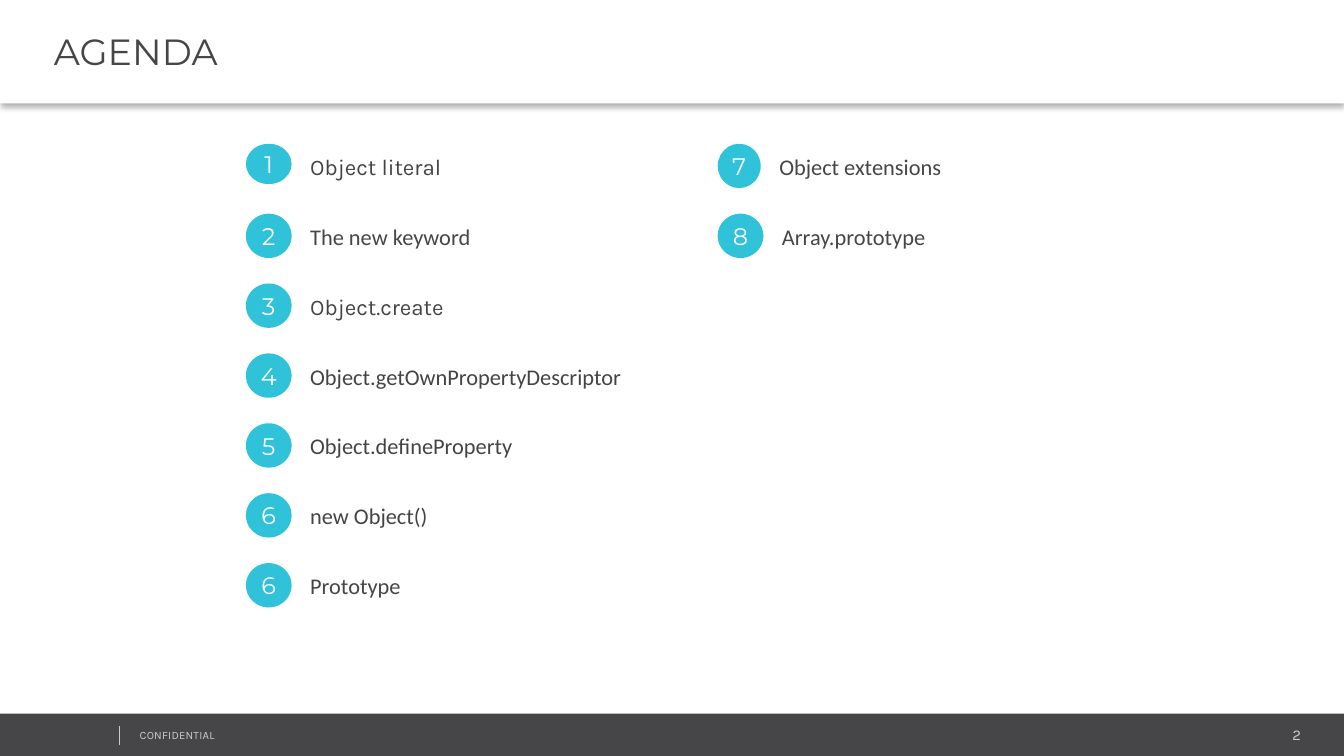
from dataclasses import dataclass

from lxml.etree import SubElement
from pptx import Presentation
from pptx.dml.color import RGBColor
from pptx.enum.shapes import MSO_CONNECTOR, MSO_SHAPE
from pptx.enum.text import MSO_ANCHOR, MSO_AUTO_SIZE, PP_ALIGN
from pptx.oxml import parse_xml
from pptx.oxml.ns import nsdecls, qn
from pptx.util import Inches, Pt

SLIDE_WIDTH = 10
SLIDE_HEIGHT = SLIDE_WIDTH * 9 / 16
HEADER_HEIGHT, FOOTER_TOP = 0.77, 5.31
DARK, TEXT_GREY, PALE, CYAN, WHITE = "464547", "444444", "CCCCCC", "2FC2D9", "FFFFFF"

COLUMN_LEFTS = (1.83, 5.34)
FIRST_ROW_TOP, ROW_PITCH = 1.07, 0.52
LABEL_GAP, LABEL_WIDTH, LABEL_HEIGHT = 0.04, 4, 0.3
FOOTER_INSETS = (0.07, 0.04, 0.07, 0.04)


@dataclass(frozen=True)
class AgendaItem:
    number: str
    label: str
    column: int
    row: int
    font: str = "Calibri"
    color: str = DARK
    badge_width: float = 0.34
    badge_height: float = 0.33


AGENDA = (
    AgendaItem("1", "Object literal", 0, 0, "Karla", TEXT_GREY, badge_height=0.3),
    AgendaItem("2", "The new keyword", 0, 1),
    AgendaItem("3", "Object.create", 0, 2, "Karla", TEXT_GREY),
    AgendaItem("4", "Object.getOwnPropertyDescriptor", 0, 3, color=TEXT_GREY),
    AgendaItem("5", "Object.defineProperty", 0, 4, color=TEXT_GREY),
    AgendaItem("6", "new Object()", 0, 5, color=TEXT_GREY),
    AgendaItem("6", "Prototype", 0, 6),
    AgendaItem("7", "Object extensions", 1, 0, badge_width=0.32),
    AgendaItem("8", "Array.prototype", 1, 1),
)


def rgb(color: str) -> RGBColor:
    return RGBColor.from_string(color)


def inches(*lengths: float) -> list[Inches]:
    return [Inches(length) for length in lengths]


def write(shape, text: str, *, size: float, font: str, color: str,
          align=PP_ALIGN.LEFT, anchor=MSO_ANCHOR.TOP, wrap: bool = True,
          insets=(0.1, 0.05, 0.1, 0.05), spacing: float = 0) -> None:
    frame = shape.text_frame
    frame.auto_size = MSO_AUTO_SIZE.NONE
    frame.word_wrap = wrap
    frame.vertical_anchor = anchor
    (frame.margin_left, frame.margin_top,
     frame.margin_right, frame.margin_bottom) = inches(*insets)
    paragraph = frame.paragraphs[0]
    paragraph.alignment = align
    paragraph.space_before = Pt(0)
    run = paragraph.add_run()
    run.text = text
    run.font.size = Pt(size)
    run.font.name = font
    run.font.color.rgb = rgb(color)
    if spacing:
        run.font._element.set("spc", str(round(spacing * 100)))


def add_filled(shapes, kind, box: tuple, color: str) -> None:
    shape = shapes.add_shape(kind, *inches(*box))
    shape.shadow.inherit = False
    shape.fill.solid()
    shape.fill.fore_color.rgb = rgb(color)
    shape.line.fill.background()


def add_text(shapes, box: tuple, text: str, **text_format) -> None:
    write(shapes.add_textbox(*inches(*box)), text, **text_format)


def add_header(slide, text: str) -> None:
    title = slide.shapes.title
    title.left, title.top, title.width, title.height = inches(
        0, 0, SLIDE_WIDTH, HEADER_HEIGHT)
    title.fill.solid()
    title.fill.fore_color.rgb = rgb(WHITE)
    title._element.spPr.append(parse_xml(
        f'<a:effectLst {nsdecls("a")}>'
        f'<a:outerShdw blurRad="{Pt(3.1)}" dist="{Pt(2)}" dir="5400000" rotWithShape="0">'
        '<a:srgbClr val="000000"><a:alpha val="30000"/></a:srgbClr>'
        '</a:outerShdw></a:effectLst>'))
    write(title, text, size=19.5, font="Montserrat", color=DARK,
          anchor=MSO_ANCHOR.MIDDLE, insets=(0.4, 0.05, 0.1, 0.06))


def add_footer(slide, notice: str, page: str) -> None:
    shapes = slide.shapes
    add_filled(shapes, MSO_SHAPE.RECTANGLE,
               (0, FOOTER_TOP, SLIDE_WIDTH, SLIDE_HEIGHT - FOOTER_TOP), DARK)
    add_text(shapes, (8.12, 5.36, 1.63, 0.21), page, size=8, font="Karla",
             color=PALE, align=PP_ALIGN.RIGHT, insets=FOOTER_INSETS)
    add_text(shapes, (0.97, 5.38, 2.53, 0.18), notice, size=6, font="Karla",
             color=PALE, insets=FOOTER_INSETS, spacing=0.1)
    divider = shapes.add_connector(MSO_CONNECTOR.STRAIGHT,
                                   *inches(0.89, 5.4, 0.89, 5.54))
    divider.line.color.rgb = rgb(PALE)
    divider.line.width = Pt(0.25)
    SubElement(divider._element.spPr, qn("a:effectLst"))


def add_agenda_item(slide, item: AgendaItem) -> None:
    left = COLUMN_LEFTS[item.column]
    top = FIRST_ROW_TOP + item.row * ROW_PITCH
    shapes = slide.shapes.add_group_shape().shapes
    add_text(shapes,
             (left + item.badge_width + LABEL_GAP, top + 0.02, LABEL_WIDTH, LABEL_HEIGHT),
             item.label, size=12, font=item.font, color=item.color)
    add_filled(shapes, MSO_SHAPE.OVAL,
               (left, top, item.badge_width, item.badge_height), CYAN)
    add_text(shapes,
             (left + 0.04, top + 0.03, item.badge_width - 0.08, item.badge_height - 0.13),
             item.number, size=12.8, font="Montserrat", color=WHITE,
             align=PP_ALIGN.CENTER, anchor=MSO_ANCHOR.MIDDLE, wrap=False,
             insets=(0.1, 0.07, 0.1, 0))


def main() -> None:
    presentation = Presentation()
    presentation.slide_width, presentation.slide_height = inches(SLIDE_WIDTH, SLIDE_HEIGHT)
    slide = presentation.slides.add_slide(presentation.slide_layouts.get_by_name("Title Only"))
    add_header(slide, "AGENDA")
    add_footer(slide, "CONFIDENTIAL", "2")
    for item in AGENDA:
        add_agenda_item(slide, item)
    presentation.save("out.pptx")


if __name__ == "__main__":
    main()
